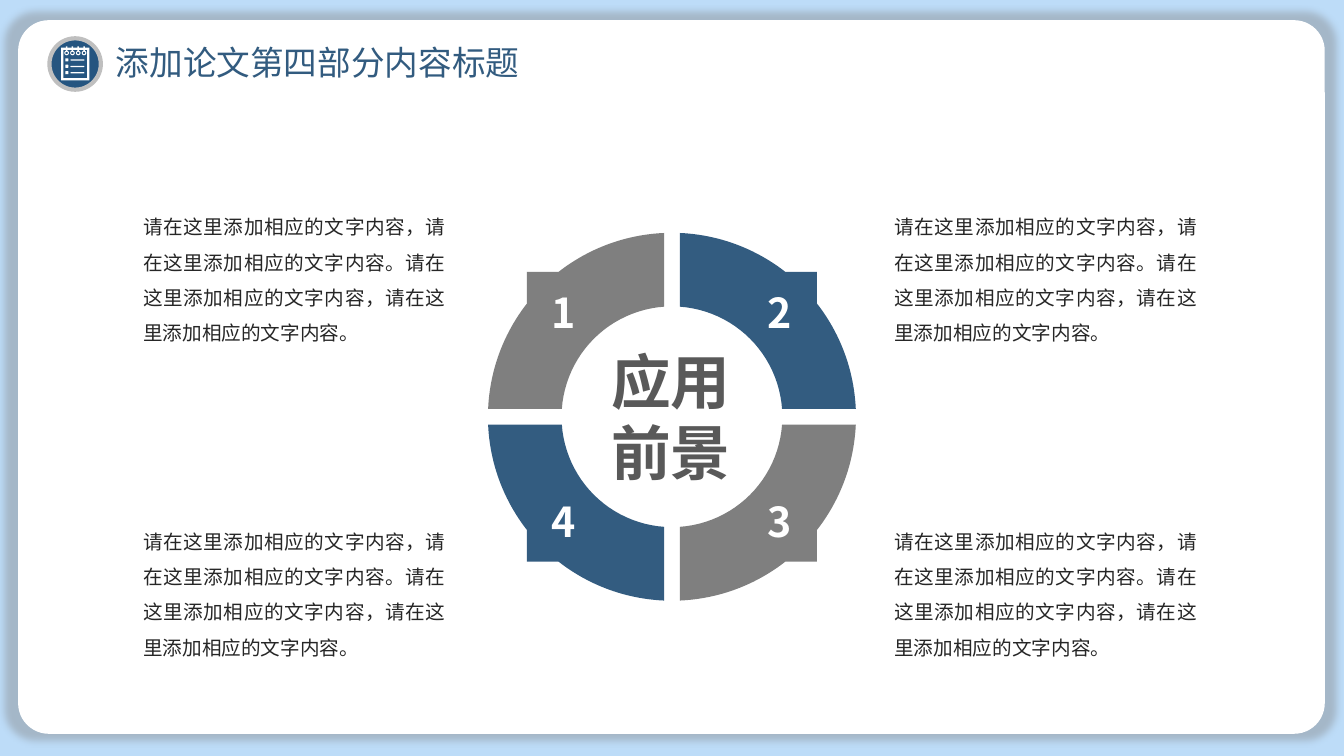
from math import acos, asin, cos, pi, sin

from lxml import etree
from pptx import Presentation
from pptx.dml.color import RGBColor
from pptx.enum.shapes import MSO_SHAPE
from pptx.enum.text import MSO_ANCHOR, MSO_AUTO_SIZE, PP_ALIGN
from pptx.oxml.ns import qn
from pptx.util import Emu, Inches, Pt

RECT, ROUND = MSO_SHAPE.RECTANGLE, MSO_SHAPE.ROUNDED_RECTANGLE
OVAL, DONUT, FRAME = MSO_SHAPE.OVAL, MSO_SHAPE.DONUT, MSO_SHAPE.FRAME
TOP, NO_FIT = MSO_ANCHOR.TOP, MSO_AUTO_SIZE.NONE
LEFT, CENTER, JUSTIFY = PP_ALIGN.LEFT, PP_ALIGN.CENTER, PP_ALIGN.JUSTIFY

W, H = 13.33, 7.5
SANS, TITLE_FONT = "Noto Sans CJK SC", "Noto Sans CJK JP"
BLUE, GREY, WHITE = "335C80", "7F7F7F", "FFFFFF"
SENTENCE = "请在这里添加相应的文字内容，请在这里添加相应的文字内容。"


def rgb(value):
    """Turn a hex string into a colour."""
    return RGBColor.from_string(value)


def paint(s, fill):
    """Give a shape a plain fill without line or shadow."""
    s.shadow.inherit = False
    s.fill.solid()
    s.fill.fore_color.rgb = rgb(fill)
    s.line.fill.background()
    return s


def add_shape(shapes, kind, box, fill, adj=None):
    """Add a filled preset shape in a box given in inches."""
    s = shapes.add_shape(kind, *map(Inches, box))
    if adj is not None:
        s.adjustments[0] = adj
    return paint(s, fill)


def write(s, text, size, color, font=SANS, align=CENTER, bold=False,
          spacing=None, inset=(0, 0), wrap=True):
    """Write one formatted paragraph into a shape."""
    tf = s.text_frame
    tf.word_wrap, tf.auto_size, tf.vertical_anchor = wrap, NO_FIT, TOP
    tf.margin_left = tf.margin_right = Inches(inset[0])
    tf.margin_top = tf.margin_bottom = Inches(inset[1])
    p = tf.paragraphs[0]
    p.alignment = align
    if spacing:
        p.line_spacing = spacing
    r = p.add_run()
    r.text = text
    r.font.size, r.font.bold, r.font.name = Pt(size), bold, font
    r.font.color.rgb = rgb(color)
    etree.SubElement(r.font._element, qn("a:ea"), typeface=font)


def add_text(shapes, box, text, size, color, **style):
    """Add a text box in a box given in inches."""
    write(shapes.add_textbox(*map(Inches, box)), text, size, color, **style)


def add_card(slide, box):
    """Place the white card with its soft shadow behind everything."""
    s = add_shape(slide.shapes, ROUND, box, WHITE, 0.043)
    effects = s._element.spPr.find(qn("a:effectLst"))
    shadow = etree.SubElement(
        effects, qn("a:outerShdw"), blurRad=str(Pt(5)), sx="102000",
        sy="102000", algn="ctr", rotWithShape="0")
    color = etree.SubElement(shadow, qn("a:srgbClr"), val="808080")
    etree.SubElement(color, qn("a:alpha"), val="40000")
    tree = slide.shapes._spTree
    tree.remove(s._element)
    tree.insert(2, s._element)


def add_icon(slide, x, y, d):
    """Draw the notepad badge in a square of side d."""
    g = slide.shapes.add_group_shape().shapes
    badge = add_shape(g, OVAL, (x, y, d, d), "255580")
    badge.line.color.rgb = rgb("BFBFBF")
    badge.line.width = Pt(3)

    def part(kind, left, top, width, height, adj=None):
        """Add a white part measured in shares of the badge."""
        box = (x + left * d, y + top * d, width * d, height * d)
        add_shape(g, kind, box, WHITE, adj)

    part(FRAME, 0.23, 0.18, 0.55, 0.64, 0.08)
    for i in range(4):
        left = 0.29 + 0.113 * i
        part(DONUT, left, 0.24, 0.09, 0.09, 0.22)
        part(RECT, left + 0.03, 0.16, 0.03, 0.1)
    for i in range(3):
        top = 0.39 + 0.125 * i
        part(ROUND, 0.31, top, 0.06, 0.06)
        part(ROUND, 0.41, top + 0.02, 0.27, 0.025, 0.5)


def add_header(slide, x, y, w, h):
    """Place the badge and the title side by side."""
    add_icon(slide, x, y + 0.03, 0.51)
    title = slide.shapes.title
    title.left, title.top, title.width, title.height = map(
        Inches, (x + 0.53, y, w - 0.53, h))
    write(title, "添加论文第四部分内容标题", 24, "325B7F", TITLE_FONT, LEFT,
          inset=(0.13, 0.07), wrap=False)


def arc(radius, start, end, steps=24):
    """List points along an arc around the origin."""
    angles = [start + (end - start) * i / steps for i in range(steps + 1)]
    return [(radius * cos(a), radius * sin(a)) for a in angles]


def add_ring(slide, cx, cy, outer):
    """Draw four numbered quarters with square corners around a heading."""
    inner, gap, corner = 0.6 * outer, 0.043 * outer, 0.788 * outer
    low, edge, hole = asin(gap / outer), acos(corner / outer), asin(gap / inner)
    outline = (arc(outer, low, edge) + [(corner, corner)]
               + arc(outer, pi / 2 - edge, pi / 2 - low)
               + arc(inner, pi / 2 - hole, hole))
    add_text(slide.shapes, (cx - 0.69, cy - 0.715, 1.36, 1.44), "应用前景",
             42.6, "595959", bold=True)
    g = slide.shapes.add_group_shape().shapes
    quarters = [("1", -1, -1, GREY), ("2", 1, -1, BLUE),
                ("3", 1, 1, GREY), ("4", -1, 1, BLUE)]
    for number, sx, sy, fill in quarters:
        points = [(Inches(cx + sx * x), Inches(cy + sy * y))
                  for x, y in outline]
        builder = g.build_freeform(*points[0], scale=1.0)
        builder.add_line_segments(points[1:])
        paint(builder.convert_to_shape(Emu(0), Emu(0)), fill)
        box = (cx + sx * 1.07 - 0.15, cy + sy * 1.035 - 0.245, 0.3, 0.49)
        add_text(g, box, number, 29.4, WHITE, bold=True)


def add_notes_grid(slide, x, y, col, row):
    """Place the four descriptions on a two by two grid."""
    for i in range(4):
        box = (x + i % 2 * col, y + i // 2 * row, 3, 1.37)
        add_text(slide.shapes, box, SENTENCE * 2, 14, "262626",
                 align=JUSTIFY, spacing=1.5)


def main():
    """Build the slide and save it."""
    prs = Presentation()
    prs.slide_width, prs.slide_height = Inches(W), Inches(H)
    slide = prs.slides.add_slide(prs.slide_layouts[5])
    slide.background.fill.solid()
    slide.background.fill.fore_color.rgb = rgb("BDDCF8")
    add_card(slide, (0.18, 0.2, 12.96, 7.08))
    add_header(slide, 0.49, 0.35, 4.98, 0.54)
    add_notes_grid(slide, 1.42, 2.02, 7.45, 3.12)
    add_ring(slide, W / 2, 4.135, 1.825)
    prs.save("out.pptx")


if __name__ == "__main__":
    main()
